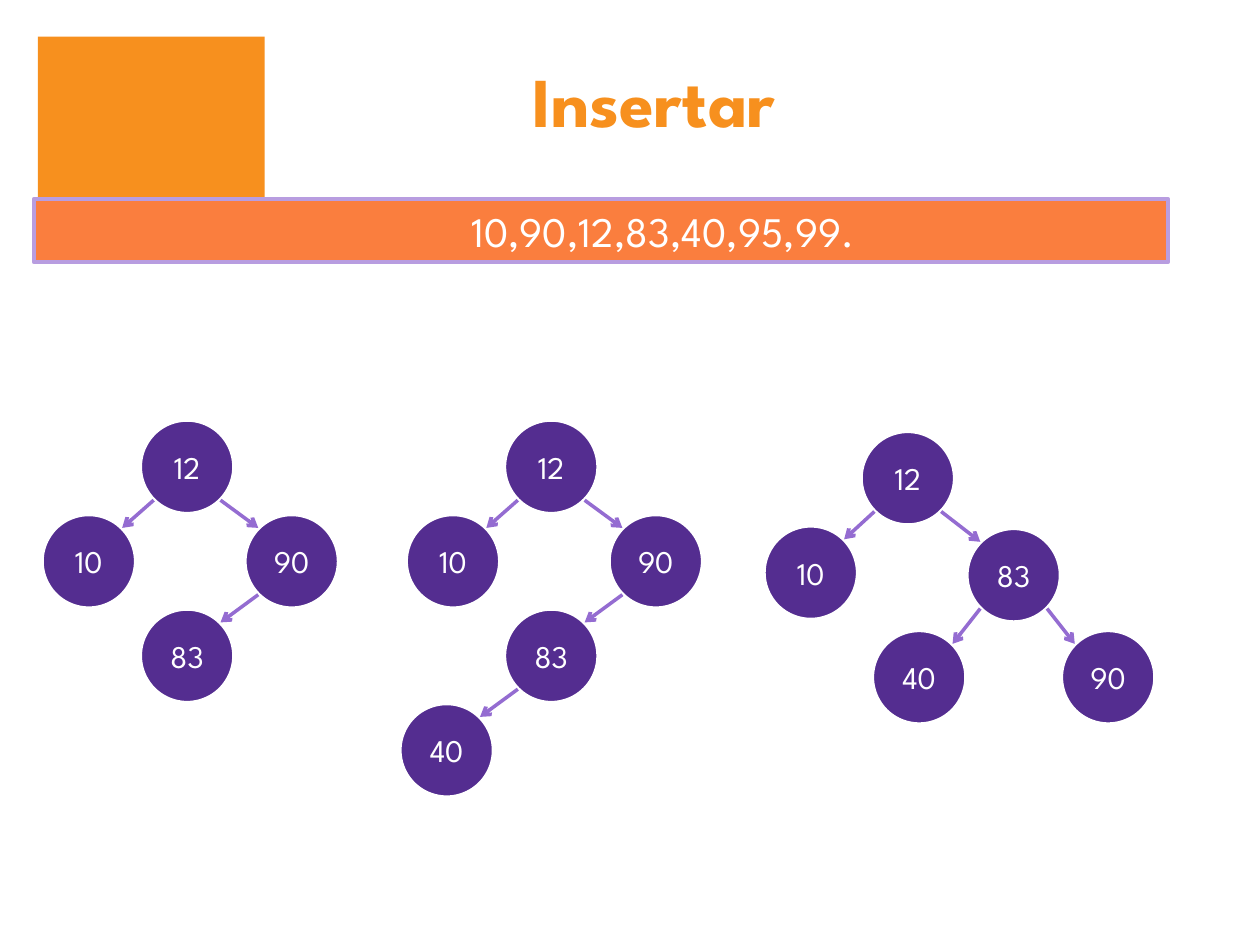
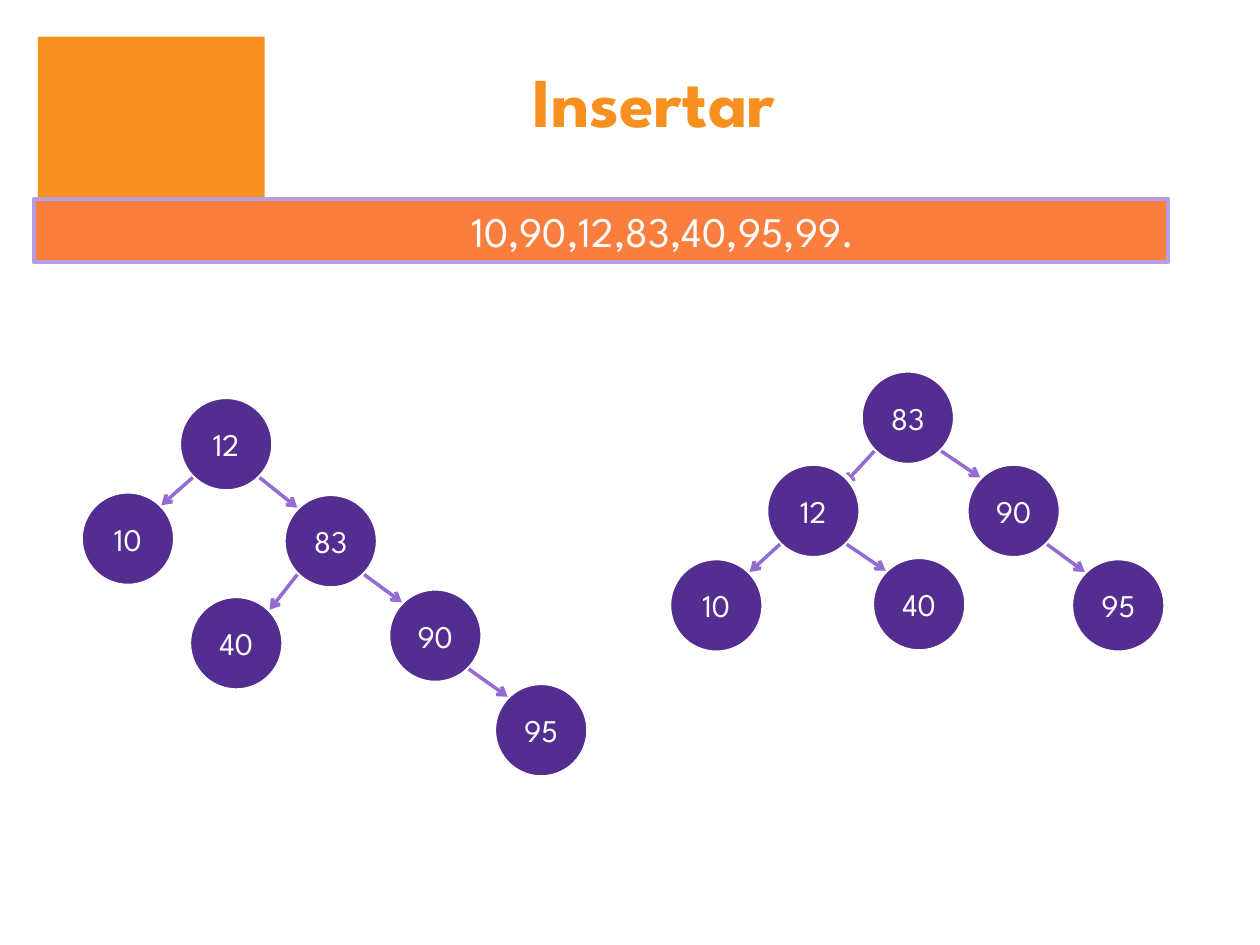
from dataclasses import dataclass

from lxml.etree import SubElement
from pptx import Presentation
from pptx.dml.color import RGBColor
from pptx.enum.shapes import MSO_CONNECTOR, MSO_SHAPE
from pptx.enum.text import MSO_ANCHOR, MSO_AUTO_SIZE, PP_ALIGN
from pptx.oxml.ns import qn
from pptx.util import Inches, Pt


@dataclass(frozen=True)
class Theme:
    font: str = "League Spartan"
    orange: str = "F7901E"
    band: str = "FA7E3E"
    band_line: str = "B89DE0"
    node: str = "542D90"
    arrow: str = "946CD1"
    white: str = "FFFFFF"
    title_size: int = 40
    band_size: int = 24
    node_size: int = 18
    outline: float = 2.5
    arrow_width: float = 2


@dataclass(frozen=True)
class Node:
    """A tree node; arrow_tip, if given, tucks its incoming arrow under it."""
    value: int
    left: float
    top: float
    children: tuple = ()
    arrow_tip: tuple = None


THEME = Theme()
DIAMETER = 0.75
# Distance from the circle's bounding box to its diagonal points
DIAGONAL_INSET = 0.11

TITLE = "Insertar"
SEQUENCE = "10,90,12,83,40,95,99."

INSERTION_TREES = [
    Node(12, 1.11, 3.33, (
        Node(10, 0.33, 4.08),
        Node(90, 1.94, 4.08, (Node(83, 1.11, 4.83),)),
    )),
    Node(12, 4, 3.33, (
        Node(10, 3.22, 4.08),
        Node(90, 4.83, 4.08, (
            Node(83, 4, 4.83, (Node(40, 3.17, 5.58),)),
        )),
    )),
    Node(12, 6.83, 3.42, (
        Node(10, 6.06, 4.17),
        Node(83, 7.67, 4.19, (Node(40, 6.92, 5), Node(90, 8.42, 5))),
    )),
]

ROTATION_TREES = [
    Node(12, 1.42, 3.15, (
        Node(10, 0.64, 3.9),
        Node(83, 2.25, 3.92, (
            Node(40, 1.5, 4.73),
            Node(90, 3.08, 4.67, (Node(95, 3.92, 5.42),)),
        )),
    )),
    Node(83, 6.83, 2.94, (
        Node(12, 6.08, 3.68, (
            Node(10, 5.31, 4.43),
            Node(40, 6.92, 4.42),
        ), arrow_tip=(6.7, 3.84)),
        Node(90, 7.67, 3.68, (Node(95, 8.5, 4.43),)),
    )),
]


def write_text(shape, text, *, size, color, bold=False,
               anchor=MSO_ANCHOR.MIDDLE, wrap=True, left_inset=0.1):
    frame = shape.text_frame
    frame.auto_size = MSO_AUTO_SIZE.NONE
    frame.word_wrap = wrap
    frame.vertical_anchor = anchor
    frame.margin_left = Inches(left_inset)
    para = frame.paragraphs[0]
    para.alignment = PP_ALIGN.CENTER
    span = para.add_run()
    span.text = text
    span.font.name = THEME.font
    span.font.size = Pt(size)
    span.font.bold = bold
    span.font.color.rgb = RGBColor.from_string(color)


def add_filled_shape(page, kind, left, top, width, height, fill, line=None):
    shape = page.shapes.add_shape(
        kind, Inches(left), Inches(top), Inches(width), Inches(height))
    shape.shadow.inherit = False
    shape.fill.solid()
    shape.fill.fore_color.rgb = RGBColor.from_string(fill)
    if line:
        shape.line.color.rgb = RGBColor.from_string(line)
        shape.line.width = Pt(THEME.outline)
    else:
        shape.line.fill.background()
    return shape


def add_title(page, text):
    title = page.shapes.title
    title.left, title.top = Inches(1.63), Inches(0.42)
    title.width, title.height = Inches(7.12), Inches(0.75)
    write_text(title, text, size=THEME.title_size, color=THEME.orange,
               bold=True, anchor=MSO_ANCHOR.BOTTOM)


def add_band(page, text):
    band = add_filled_shape(page, MSO_SHAPE.RECTANGLE, 0.27, 1.58, 9, 0.5,
                            THEME.band, THEME.band_line)
    write_text(band, text, size=THEME.band_size, color=THEME.white,
               left_inset=1.08)


def add_circle(page, node):
    circle = add_filled_shape(page, MSO_SHAPE.OVAL, node.left, node.top,
                              DIAMETER, DIAMETER, THEME.node, THEME.white)
    write_text(circle, str(node.value), size=THEME.node_size,
               color=THEME.white, wrap=False)


def diagonal_point(node, right, bottom):
    """Return the point on the node's circle nearest the chosen corner."""
    far = DIAMETER - DIAGONAL_INSET
    return (node.left + (far if right else DIAGONAL_INSET),
            node.top + (far if bottom else DIAGONAL_INSET))


def add_arrow(page, parent, child):
    goes_right = child.left > parent.left
    start = diagonal_point(parent, right=goes_right, bottom=True)
    end = child.arrow_tip or diagonal_point(
        child, right=not goes_right, bottom=False)
    arrow = page.shapes.add_connector(
        MSO_CONNECTOR.STRAIGHT, *map(Inches, start + end))
    arrow.line.color.rgb = RGBColor.from_string(THEME.arrow)
    arrow.line.width = Pt(THEME.arrow_width)
    SubElement(arrow.line._get_or_add_ln(), qn("a:tailEnd"), type="arrow")
    SubElement(arrow._element.spPr, qn("a:effectLst"))


def add_tree(page, node):
    add_circle(page, node)
    for child in node.children:
        if child.arrow_tip:
            add_arrow(page, node, child)
            add_tree(page, child)
        else:
            add_tree(page, child)
            add_arrow(page, node, child)


def add_tree_page(deck, trees):
    page = deck.slides.add_slide(deck.slide_layouts[5])
    add_filled_shape(page, MSO_SHAPE.RECTANGLE, 0.3, 0.29, 1.8, 1.8,
                     THEME.orange)
    add_title(page, TITLE)
    add_band(page, SEQUENCE)
    for tree in trees:
        add_tree(page, tree)


def main():
    deck = Presentation()
    deck.slide_width, deck.slide_height = Inches(10), Inches(7.5)
    for trees in (INSERTION_TREES, ROTATION_TREES):
        add_tree_page(deck, trees)
    deck.save("out.pptx")


if __name__ == "__main__":
    main()
